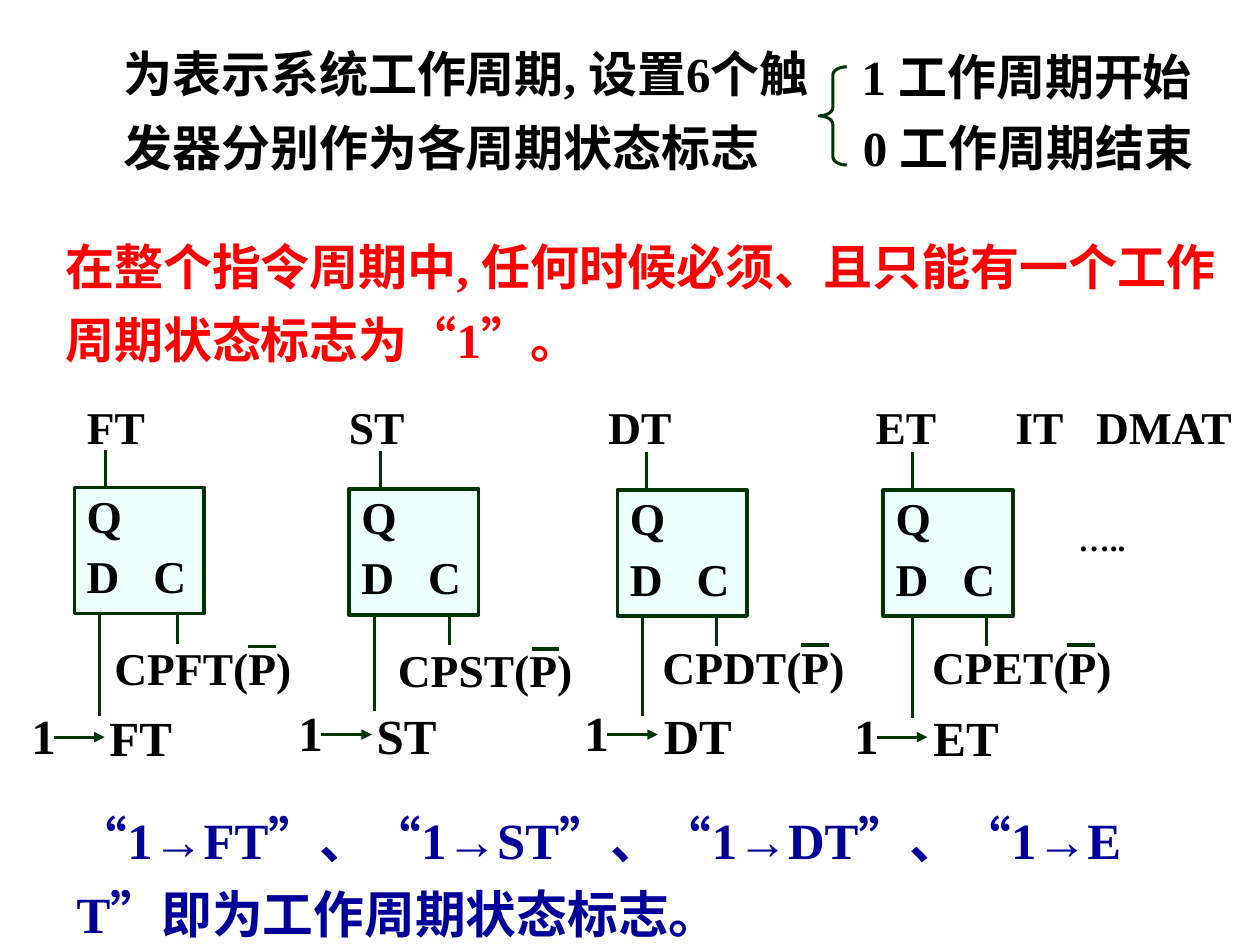
from dataclasses import dataclass

import pptx
import pptx.dml.color
import pptx.enum.lang
import pptx.enum.shapes
import pptx.enum.text
import pptx.oxml
import pptx.oxml.ns
import pptx.util
from pptx.util import Inches, Pt

BLACK = pptx.dml.color.RGBColor(0x00, 0x00, 0x00)
RED = pptx.dml.color.RGBColor(0xFF, 0x00, 0x00)
NAVY = pptx.dml.color.RGBColor(0x00, 0x00, 0x99)
DARK_GREEN = pptx.dml.color.RGBColor(0x00, 0x34, 0x00)
PALE_CYAN = pptx.dml.color.RGBColor(0xED, 0xFF, 0xFF)

FONT = "Times New Roman"
BOX_WIDTH, BOX_HEIGHT = 1.03, 1.0
LINE_PITCH = Pt(42)


@dataclass
class FlipFlop:
    """Positions in inches of one state flip-flop and its signals."""
    name: str
    left: float
    top: float
    output_x: float
    data_x: float
    data_bottom: float
    clock_x: float
    one_left: float
    one_top: float
    name_left: float
    clock_left: float
    clock_top: float
    bar_left: float


FLIP_FLOPS = [
    FlipFlop("FT", 0.59, 3.87, 0.84, 0.79, 5.68, 1.41, 0.15, 5.55, 0.77, 0.81, 5.03, 1.97),
    FlipFlop("ST", 2.77, 3.88, 3.02, 2.97, 5.64, 3.57, 2.27, 5.53, 2.89, 3.06, 5.05, 4.22),
    FlipFlop("DT", 4.90, 3.89, 5.13, 5.10, 5.68, 5.69, 4.54, 5.53, 5.17, 5.16, 5.02, 6.36),
    FlipFlop("ET", 7.01, 3.89, 7.24, 7.24, 5.70, 7.83, 6.68, 5.55, 7.31, 7.30, 5.02, 8.47),
]


def add_xml(parent, tag: str, **attributes: str):
    element = pptx.oxml.parse_xml(f"<a:{tag} {pptx.oxml.ns.nsdecls('a')}/>")
    for name, value in attributes.items():
        element.set(name, value)
    parent.append(element)
    return element


def add_tab_stops(paragraph, positions: list[float]) -> None:
    tab_list = add_xml(paragraph._p.get_or_add_pPr(), "tabLst")
    for position in positions:
        add_xml(tab_list, "tab", pos=str(Inches(position)), algn="l")


def format_text(text_frame, size: float, color=BLACK, line_spacing=None) -> None:
    for paragraph in text_frame.paragraphs:
        paragraph.alignment = pptx.enum.text.PP_ALIGN.LEFT
        if line_spacing is not None:
            paragraph.line_spacing = line_spacing
        for run in paragraph.runs:
            run.font.name = FONT
            run.font.size = Pt(size)
            run.font.bold = True
            run.font.color.rgb = color
            run.font.language_id = pptx.enum.lang.MSO_LANGUAGE_ID.SIMPLIFIED_CHINESE


def add_label(slide, text: str, left: float, top: float, width: float, height: float,
              size: float = 28, color=BLACK, line_spacing=None):
    text_frame = slide.shapes.add_textbox(
        Inches(left), Inches(top), Inches(width), Inches(height)).text_frame
    text_frame.word_wrap = True
    text_frame.text = text
    format_text(text_frame, size, color, line_spacing)
    return text_frame


def add_line(slide, x1: float, y1: float, x2: float, y2: float,
             width: float = 1.75, arrow: bool = False) -> None:
    connector = slide.shapes.add_connector(
        pptx.enum.shapes.MSO_CONNECTOR.STRAIGHT,
        Inches(x1), Inches(y1), Inches(x2), Inches(y2))
    connector.line.color.rgb = DARK_GREEN
    connector.line.width = Pt(width)
    if arrow:
        add_xml(connector.line._get_or_add_ln(), "tailEnd", type="triangle")
    add_xml(connector._element.spPr, "effectLst")


def add_flip_flop(slide, item: FlipFlop) -> None:
    # Body with its Q, D and C pins
    box = slide.shapes.add_shape(
        pptx.enum.shapes.MSO_SHAPE.RECTANGLE, Inches(item.left), Inches(item.top),
        Inches(BOX_WIDTH), Inches(BOX_HEIGHT))
    box.shadow.inherit = False
    box.fill.solid()
    box.fill.fore_color.rgb = PALE_CYAN
    box.line.color.rgb = DARK_GREEN
    box.line.width = Pt(2)
    text_frame = box.text_frame
    text_frame.text = "Q\nD\tC"
    text_frame.vertical_anchor = pptx.enum.text.MSO_ANCHOR.TOP
    pins = text_frame.paragraphs[1]
    add_tab_stops(pins, [0.53])
    pins.space_before = Pt(6.5)
    format_text(text_frame, 26, line_spacing=0.9)

    # Output, data and clock wires
    bottom = item.top + BOX_HEIGHT
    add_line(slide, item.output_x, item.top - 0.01, item.output_x, item.top - 0.3)
    add_line(slide, item.data_x, bottom, item.data_x, item.data_bottom)
    add_line(slide, item.clock_x, bottom, item.clock_x, bottom + 0.24)

    # Set signal: 1 -> name
    arrow_y = item.one_top + 0.3
    add_label(slide, "1", item.one_left, item.one_top, 0.82, 0.57)
    add_line(slide, item.one_left + 0.28, arrow_y, item.one_left + 0.68, arrow_y, arrow=True)
    add_label(slide, item.name, item.name_left, item.one_top + 0.02, 0.85, 0.57)

    # Clock signal with a bar over P
    bar_y = item.clock_top + 0.1
    add_label(slide, f"CP{item.name}(P)", item.clock_left, item.clock_top, 1.77, 0.53, 26)
    add_line(slide, item.bar_left, bar_y, item.bar_left + 0.22, bar_y, 2)


def main() -> None:
    presentation = pptx.Presentation()
    presentation.slide_width = Inches(10)
    presentation.slide_height = Inches(7.5)
    slide = presentation.slides.add_slide(presentation.slide_layouts[5])

    # Opening statement
    title = slide.shapes.title
    title.left, title.top = Inches(0.88), Inches(0.18)
    title.width, title.height = Inches(6), Inches(1.28)
    title.text_frame.text = "为表示系统工作周期, 设置6个触发器分别作为各周期状态标志"
    title.text_frame.vertical_anchor = pptx.enum.text.MSO_ANCHOR.TOP
    title.text_frame.auto_size = pptx.enum.text.MSO_AUTO_SIZE.NONE
    format_text(title.text_frame, 28, line_spacing=LINE_PITCH)

    # Meaning of the flag values
    brace = slide.shapes.add_shape(
        pptx.enum.shapes.MSO_SHAPE.LEFT_BRACE,
        Inches(6.5), Inches(0.53), Inches(0.22), Inches(0.78))
    brace.adjustments[0] = 0.3
    brace.shadow.inherit = False
    brace.fill.background()
    brace.line.color.rgb = DARK_GREEN
    brace.line.width = Pt(1.75)
    add_label(slide, "1 工作周期开始", 6.74, 0.32, 3.06, 0.58)
    add_label(slide, "0 工作周期结束", 6.75, 0.88, 3.05, 0.58)

    # Rule
    add_label(slide, "在整个指令周期中, 任何时候必须、且只能有一个工作周期状态标志为“1”。",
              0.42, 1.71, 9.47, 1.22, color=RED, line_spacing=LINE_PITCH)

    # Row of state names
    names = add_label(slide, "\tFT\tST\tDT\tET\tIT\tDMAT", 0.32, 3.12, 9.68, 0.53, 26)
    add_tab_stops(names.paragraphs[0], [0.27, 2.35, 4.41, 6.53, 7.64, 8.28])

    # Flip-flops
    for item in FLIP_FLOPS:
        add_flip_flop(slide, item)
    add_label(slide, "…..", 8.46, 4.08, 0.95, 0.4, 18)

    # Conclusion
    add_label(slide, "“1→FT”、“1→ST”、“1→DT”、“1→ET”即为工作周期状态标志。",
              0.51, 6.27, 8.58, 1.22, 29, NAVY, LINE_PITCH)

    presentation.save("out.pptx")


if __name__ == "__main__":
    main()
